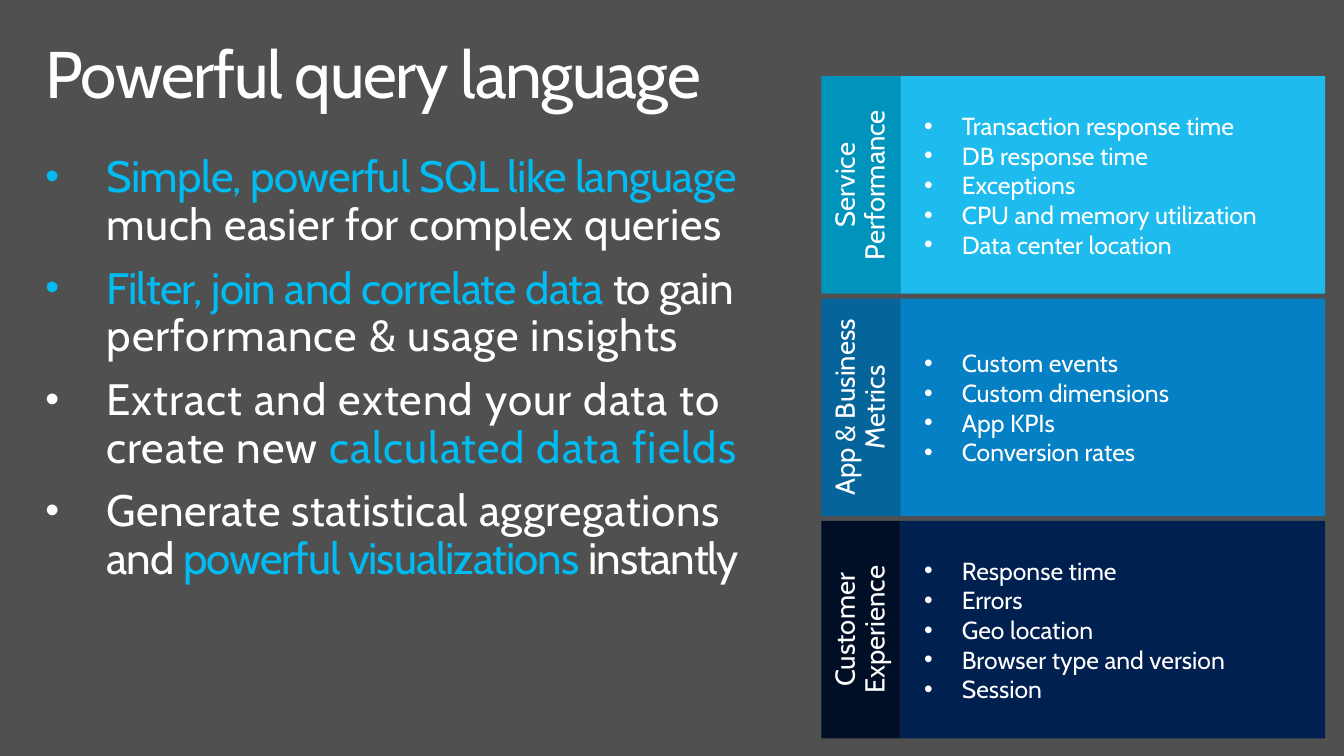
from dataclasses import dataclass
from typing import NamedTuple

from lxml import etree
from pptx import Presentation
from pptx import util as u
from pptx.dml.color import RGBColor
from pptx.enum import shapes, text
from pptx.oxml import ns


@dataclass(frozen=True)
class Theme:
    """Colours and type sizes of the slide."""
    font: str = "Cabin"
    back: str = "505050"
    white: str = "FFFFFF"
    cyan: str = "00BCF2"
    title: int = 48
    body: int = 32
    label: int = 20
    item: int = 18


class Span(NamedTuple):
    """A stretch of text with its colour and letter spacing."""
    words: str
    color: str
    gap: float


class Panel(NamedTuple):
    """A labelled group of metrics."""
    label: str
    dark: str
    fill: str
    items: list[str]


T = Theme()
POINTS = [
    [Span("Simple, powerful SQL like language\n", T.cyan, -0.5),
     Span("much easier for complex queries", T.white, 0.4)],
    [Span("Filter, join and correlate data", T.cyan, -0.6),
     Span(" to gain ", T.white, -0.6),
     Span("performance & usage insights", T.white, 0.8)],
    [Span("Extract and extend your data to\n", T.white, 0.8),
     Span("create new ", T.white, 0.7),
     Span("calculated data fields", T.cyan, 0.7)],
    [Span("Generate statistical aggregations\n", T.white, 0.4),
     Span("and ", T.white, -0.8),
     Span("powerful visualizations", T.cyan, -0.8),
     Span(" instantly", T.white, -0.8)],
]
PANELS = [
    Panel("Service Performance", "0094BC", "1EBBEE",
          ["Transaction response time", "DB response time", "Exceptions",
           "CPU and memory utilization", "Data center location"]),
    Panel("App & Business Metrics", "056499", "0680C4",
          ["Custom events", "Custom dimensions", "App KPIs",
           "Conversion rates"]),
    Panel("Customer Experience", "000F26", "002050",
          ["Response time", "Errors", "Geo location",
           "Browser type and version", "Session"]),
]


def inset(frame, left: float, top: float, right: float) -> None:
    """Wrap the text and set its margins in centimetres."""
    frame.word_wrap = True
    frame.margin_left, frame.margin_right = u.Cm(left), u.Cm(right)
    frame.margin_top = frame.margin_bottom = u.Cm(top)


def style(para, size: int, color: str | None = None) -> None:
    """Set the font of a paragraph."""
    para.font.name, para.font.size = T.font, u.Pt(size)
    if color:
        para.font.color.rgb = RGBColor.from_string(color)


def bullet(para, indent: float, size: int = 100) -> None:
    """Give a paragraph a hanging round bullet."""
    props = para._p.get_or_add_pPr()
    props.set("marL", str(u.Cm(indent)))
    props.set("indent", str(-u.Cm(indent)))
    for tag, key, val in (("a:buSzPct", "val", str(size * 1000)),
                          ("a:buFont", "typeface", "Arial"),
                          ("a:buChar", "char", "•")):
        etree.SubElement(props, ns.qn(tag)).set(key, val)


def write(para, span: Span) -> None:
    """Add a span, with a line break if it ends in one."""
    run = para.add_run()
    run.text = span.words.rstrip("\n")
    run.font.color.rgb = RGBColor.from_string(span.color)
    run._r.get_or_add_rPr().set("spc", str(round(span.gap * 100)))
    if span.words.endswith("\n"):
        para.add_line_break()


def prose(slide, top: float, width: float, high: float):
    """Add a text box at the left margin."""
    box = slide.shapes.add_textbox(
        u.Cm(0.76), u.Cm(top), u.Cm(width), u.Cm(high))
    inset(box.text_frame, 0.41, 0.25, 0.41)
    return box.text_frame


def block(slide, left: float, top: float, width: float, fill: str):
    """Add a flat rectangle and return its text frame."""
    rect = slide.shapes.add_shape(
        shapes.MSO_SHAPE.RECTANGLE,
        u.Cm(left), u.Cm(top), u.Cm(width), u.Cm(5.59))
    rect.shadow.inherit = False
    rect.fill.solid()
    rect.fill.fore_color.rgb = RGBColor.from_string(fill)
    rect.line.fill.background()
    rect.text_frame.vertical_anchor = text.MSO_ANCHOR.MIDDLE
    return rect.text_frame


def draw(slide, panel: Panel, top: float) -> None:
    """Draw a panel with its sideways label and list."""
    frame = block(slide, 23.14, top, 10.92, panel.fill)
    inset(frame, 0.61, 0.13, 0.25)
    for i, item in enumerate(panel.items):
        para = frame.add_paragraph() if i else frame.paragraphs[0]
        para.text = item
        para.alignment = text.PP_ALIGN.LEFT
        bullet(para, 0.97)
        style(para, T.item, T.white)

    frame = block(slide, 21.11, top, 2.03, panel.dark)
    inset(frame, 0.25, 0.13, 0.25)
    frame._txBody.bodyPr.set("vert", "vert270")
    para = frame.paragraphs[0]
    para.text = panel.label
    para.alignment = text.PP_ALIGN.CENTER
    para.line_spacing = 0.9
    style(para, T.label, T.white)


def main() -> None:
    """Build and save the slide."""
    deck = Presentation()
    deck.slide_width, deck.slide_height = u.Cm(34.54), u.Cm(19.43)
    slide = deck.slides.add_slide(deck.slide_layouts[6])
    slide.background.fill.solid()
    slide.background.fill.fore_color.rgb = RGBColor.from_string(T.back)

    para = prose(slide, 0.81, 33.02, 2.54).paragraphs[0]
    para.line_spacing = 0.9
    style(para, T.title)
    write(para, Span("Powerful query language", T.white, -1))

    frame = prose(slide, 3.73, 20.57, 11.63)
    for i, spans in enumerate(POINTS):
        para = frame.add_paragraph() if i else frame.paragraphs[0]
        para.line_spacing = 0.9
        if i:
            para.space_before = u.Pt(12)
        bullet(para, 1.57, 90)
        style(para, T.body)
        for span in spans:
            write(para, span)

    for i, panel in enumerate(PANELS):
        draw(slide, panel, 1.96 + 5.715 * i)
    deck.save("out.pptx")


if __name__ == "__main__":
    main()
